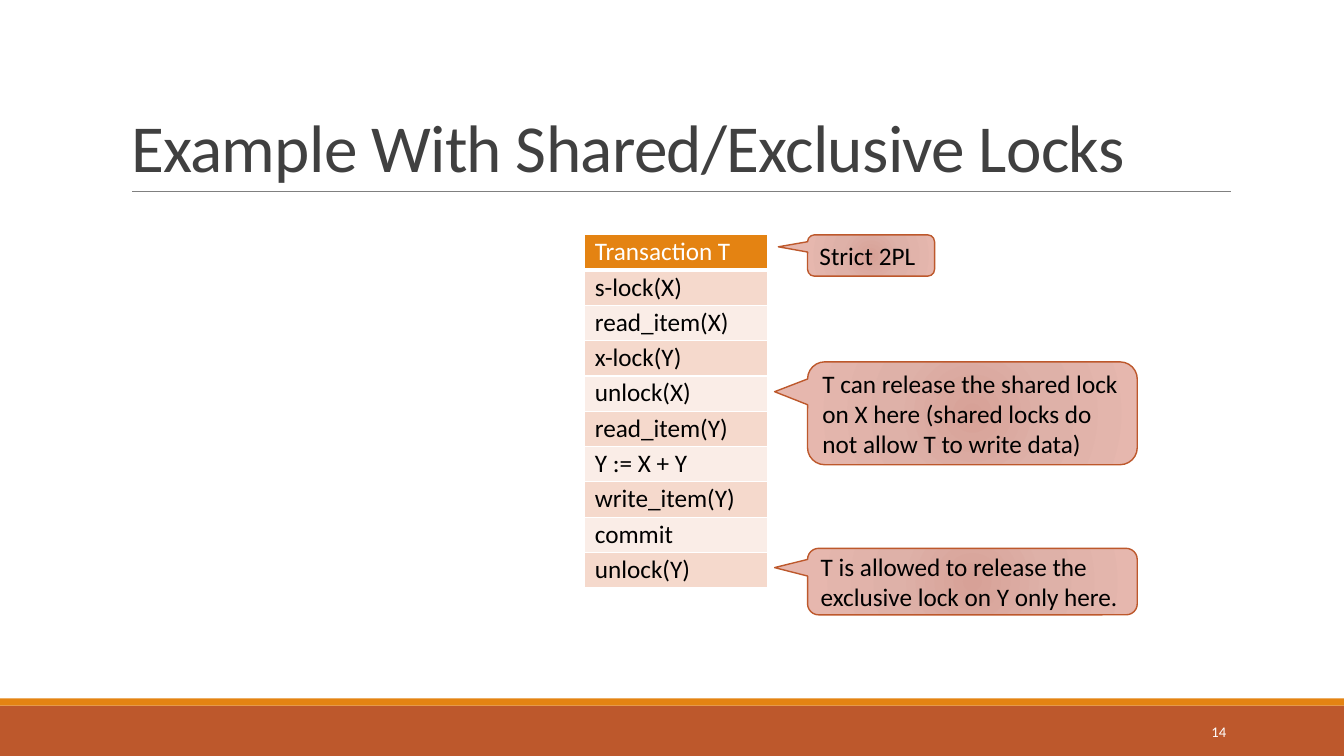
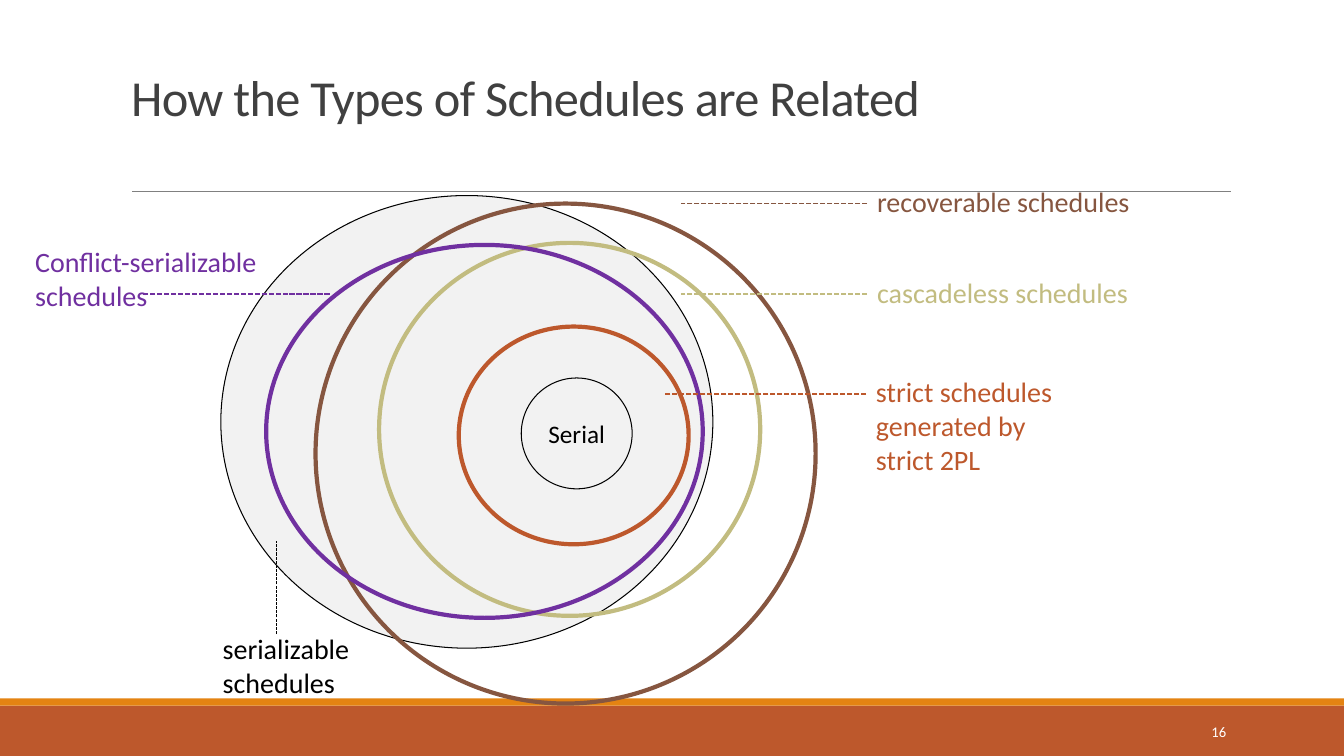
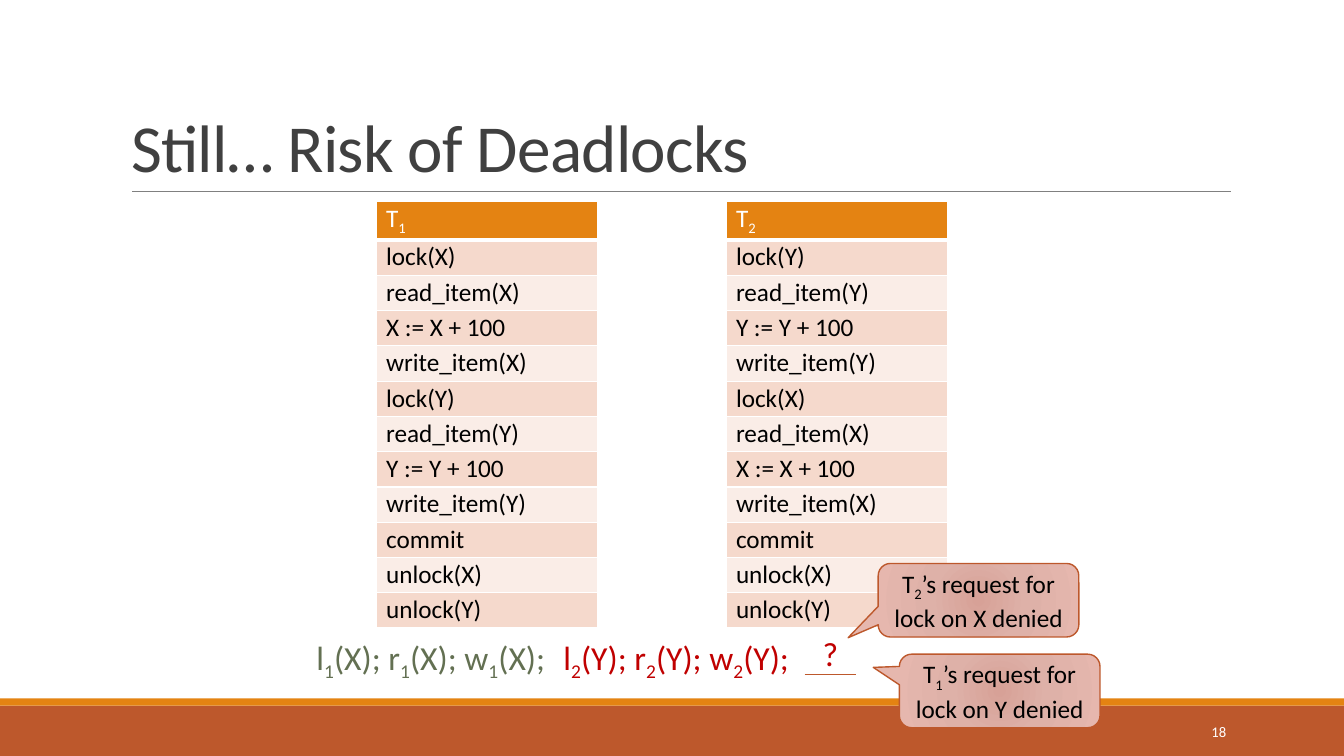
from pptx import Presentation
from pptx.dml.color import RGBColor
from pptx.enum import dml, shapes, text
from pptx.oxml import parse_xml
from pptx.oxml.ns import nsdecls, qn
from pptx.util import Inches, Pt

FONT = "Calibri"
RUST, ORANGE = "BD582C", "E48312"
WHITE, BLACK = "FFFFFF", "000000"
TITLE_GREY, RULE_GREY, DISC_GREY = "404040", "808080", "F2F2F2"
BAND_DARK, BAND_LIGHT = "F5D9CC", "FAEDE7"
BROWN, KHAKI, PURPLE = "865640", "C2BC80", "7030A0"
GREEN, RED = "637052", "C00000"
CALLOUT_STOPS = ((0, "D7A197"), (45, "DEB1A8"), (100, "E6B7AE"))
ROW_HEIGHT = 0.35
LEFT, CENTER, RIGHT = text.PP_ALIGN.LEFT, text.PP_ALIGN.CENTER, text.PP_ALIGN.RIGHT
MIDDLE = text.MSO_ANCHOR.MIDDLE


def rgb(value):
    return RGBColor.from_string(value)


def write(frame, content, size, color, align=LEFT):
    """Fill a text frame; a newline starts a paragraph, ~n~ sets n as a subscript."""
    for index, line in enumerate(content.split("\n")):
        paragraph = frame.add_paragraph() if index else frame.paragraphs[0]
        paragraph.alignment = align
        for part, piece in enumerate(line.split("~")):
            if not piece:
                continue
            run = paragraph.add_run()
            run.text = piece
            run.font.name, run.font.size = FONT, Pt(size)
            run.font.color.rgb = rgb(color)
            if part % 2:
                run.font._element.set("baseline", "-25000")


def add_label(slide, box, content, size, color, align=LEFT, wrap=False):
    label = slide.shapes.add_textbox(*map(Inches, box))
    label.text_frame.word_wrap = wrap
    write(label.text_frame, content, size, color, align)
    return label


def add_outline(slide, kind, box, fill=None, line=None, width=1):
    shape = slide.shapes.add_shape(kind, *map(Inches, box))
    shape.shadow.inherit = False
    if fill:
        shape.fill.solid()
        shape.fill.fore_color.rgb = rgb(fill)
    else:
        shape.fill.background()
    if line:
        shape.line.color.rgb = rgb(line)
        shape.line.width = Pt(width)
    else:
        shape.line.fill.background()
    return shape


def add_line(slide, start, end, color, width, dashed=False):
    line = slide.shapes.add_connector(
        shapes.MSO_CONNECTOR.STRAIGHT, *map(Inches, start + end))
    line.line.color.rgb = rgb(color)
    line.line.width = Pt(width)
    if dashed:
        line.line.dash_style = dml.MSO_LINE.SQUARE_DOT
    line.element.spPr.append(parse_xml(f"<a:effectLst {nsdecls('a')}/>"))
    return line


def add_callout(slide, box, tip, content, align=LEFT):
    """Add a rounded callout whose tip is given relative to its centre."""
    callout = add_outline(
        slide, shapes.MSO_SHAPE.ROUNDED_RECTANGULAR_CALLOUT, box, line=RUST)
    callout.adjustments[0], callout.adjustments[1] = tip
    stops = "".join(
        f'<a:gs pos="{position * 1000}"><a:srgbClr val="{color}"/></a:gs>'
        for position, color in CALLOUT_STOPS)
    gradient = parse_xml(
        f'<a:gradFill {nsdecls("a")}><a:gsLst>{stops}</a:gsLst><a:path path="circle">'
        '<a:fillToRect l="100000" t="100000" r="100000" b="100000"/>'
        '</a:path></a:gradFill>')
    properties = callout.element.spPr
    properties.replace(properties.find(qn("a:noFill")), gradient)
    callout.text_frame.word_wrap = True
    callout.text_frame.vertical_anchor = MIDDLE
    write(callout.text_frame, content, 18, BLACK, align)


def add_border(cell, side, width):
    cell._tc.get_or_add_tcPr().append(parse_xml(
        f'<a:ln{side} {nsdecls("a")} w="{Pt(width)}"><a:solidFill>'
        f'<a:srgbClr val="{WHITE}"/></a:solidFill></a:ln{side}>'))


def add_transaction(slide, left, top, width, name, operations):
    """Add a one-column table with the name of a transaction and its steps."""
    rows = [name] + operations
    table = slide.shapes.add_table(
        len(rows), 1, Inches(left), Inches(top), Inches(width),
        Inches(ROW_HEIGHT * len(rows))).table
    for index, content in enumerate(rows):
        header = index == 0
        table.rows[index].height = Inches(ROW_HEIGHT)
        cell = table.cell(index, 0)
        cell.margin_top = cell.margin_bottom = Inches(0.02)
        for side in ("L", "R", "T") if header else ("L", "R"):
            add_border(cell, side, 1)
        add_border(cell, "B", 3 if header else 1)
        cell.fill.solid()
        band = BAND_DARK if index % 2 else BAND_LIGHT
        cell.fill.fore_color.rgb = rgb(ORANGE if header else band)
        write(cell.text_frame, content, 18, WHITE if header else BLACK)


def decorate_layout(layout, slide):
    """Draw the bands and the title rule, and move them to the layout."""
    rectangle = shapes.MSO_SHAPE.RECTANGLE
    decorations = (
        add_outline(slide, rectangle, (0, 7, 13.33, 0.5), fill=RUST),
        add_outline(slide, rectangle, (0, 6.93, 13.33, 0.07), fill=ORANGE),
        add_line(slide, (1.31, 1.9), (12.21, 1.9), RULE_GREY, 0.5),
    )
    for position, decoration in enumerate(decorations, start=2):
        layout.shapes.element.insert(position, decoration.element)


def strip_footers(layout):
    for placeholder in list(layout.placeholders):
        if placeholder.placeholder_format.type != shapes.PP_PLACEHOLDER.TITLE:
            layout.shapes.element.remove(placeholder.element)


def add_slide(deck, layout, heading, number, size=48, bottom_inset=0.05):
    slide = deck.slides.add_slide(layout)
    title = slide.shapes.title
    title.left, title.top, title.width, title.height = map(Inches, (1.2, 0.31, 11, 1.59))
    frame = title.text_frame
    frame.auto_size = text.MSO_AUTO_SIZE.NONE
    frame.vertical_anchor = text.MSO_ANCHOR.BOTTOM
    frame.margin_bottom = Inches(bottom_inset)
    write(frame, heading, size, TITLE_GREY)
    paragraph = frame.paragraphs[0]
    paragraph.line_spacing = 0.85
    paragraph.runs[0].font._element.set("spc", "-50")
    page = add_label(slide, (10.83, 7.06, 1.43, 0.4), str(number), 10.5, WHITE, RIGHT, True)
    page.text_frame.vertical_anchor = MIDDLE
    return slide


def fill_locks(slide):
    add_transaction(slide, 5.8, 2.33, 1.81, "Transaction T", [
        "s-lock(X)", "read_item(X)", "x-lock(Y)", "unlock(X)", "read_item(Y)",
        "Y := X + Y", "write_item(Y)", "commit", "unlock(Y)"])
    for top, width, height, reach, remark in (
        (2.33, 1.26, 0.41, -0.73, "Strict 2PL"),
        (5.44, 3.27, 0.66, -0.6,
         "T is allowed to release the exclusive lock on Y only here."),
        (3.59, 3.27, 1.02, -0.6,
         "T can release the shared lock on X here "
         "(shared locks do not allow T to write data)"),
    ):
        add_callout(slide, (8.01, top, width, height), (reach, -0.21), remark)


def fill_schedule_types(slide):
    oval = shapes.MSO_SHAPE.OVAL
    add_outline(slide, oval, (2.19, 1.94, 4.88, 4.49), DISC_GREY, BLACK, 0.75)
    serial = add_outline(slide, oval, (5.17, 3.75, 1.1, 1.1), None, BLACK, 0.75)
    frame = serial.text_frame
    frame.margin_left = frame.margin_right = Inches(0.04)
    frame.vertical_anchor = MIDDLE
    write(frame, "Serial", 18, BLACK, CENTER)
    for box, color in (
        ((4.55, 3.24, 2.28, 2.16), RUST),
        ((3.76, 2.41, 3.78, 3.7), KHAKI),
        ((3.13, 2.02, 4.96, 4.96), BROWN),
        ((2.64, 2.43, 4.33, 3.7), PURPLE),
    ):
        add_outline(slide, oval, box, None, color, 3)
    for box, name, color, start, end, width in (
        ((2.11, 6.22, 1.5, 0.77), "serializable\nschedules", BLACK,
         (2.74, 6.29), (2.74, 5.37), 0.75),
        ((8.59, 3.67, 1.97, 1.11), "strict schedules\ngenerated by\nstrict 2PL", RUST,
         (8.59, 3.91), (6.6, 3.91), 1.25),
        ((8.6, 2.68, 2.75, 0.44), "cascadeless schedules", KHAKI,
         (8.6, 2.92), (6.75, 2.92), 1.25),
        ((8.6, 1.78, 2.79, 0.44), "recoverable schedules", BROWN,
         (8.6, 2.02), (6.75, 2.02), 1.25),
        ((0.25, 2.38, 2.49, 0.77), "Conflict-serializable\nschedules", PURPLE,
         (3.27, 2.92), (1.41, 2.92), 1.25),
    ):
        add_label(slide, box, name, 20, color)
        add_line(slide, start, end, color, width, dashed=True)


def update_steps(*items):
    """List the steps that lock and raise each item, then commit and unlock."""
    steps = []
    for item in items:
        steps += [f"lock({item})", f"read_item({item})",
                  f"{item} := {item} + 100", f"write_item({item})"]
    return steps + ["commit", "unlock(X)", "unlock(Y)"]


def fill_deadlocks(slide):
    add_transaction(slide, 3.73, 2, 2.2, "T~1~", update_steps("X", "Y"))
    add_transaction(slide, 7.2, 2, 2.2, "T~2~", update_steps("Y", "X"))
    for left, number, item, color in ((3.04, 1, "X", GREEN), (5.49, 2, "Y", RED)):
        history = " ".join(f"{action}~{number}~({item});" for action in "lrw")
        add_label(slide, (left, 6.27, 2.52, 0.5), history, 24, color, wrap=True)
    add_line(slide, (7.98, 6.69), (8.49, 6.69), RUST, 1)
    add_label(slide, (8.06, 6.23, 0.36, 0.5), "?", 24, RED)
    for left, top, tip, number, item in (
        (8.71, 5.59, (-0.65, 0.51), 2, "X"),
        (8.92, 6.49, (-0.63, -0.32), 1, "Y"),
    ):
        add_callout(slide, (left, top, 1.99, 0.73), tip,
                    f"T~{number}~’s request for lock on {item} denied", CENTER)


def main():
    deck = Presentation()
    deck.slide_width, deck.slide_height = Inches(13.33), Inches(7.5)
    layout = deck.slide_layouts.get_by_name("Title Only")
    strip_footers(layout)
    locks = add_slide(deck, layout, "Example With Shared/Exclusive Locks", 14)
    decorate_layout(layout, locks)
    fill_locks(locks)
    fill_schedule_types(add_slide(
        deck, layout, "How the Types of Schedules are Related", 16, 36, 0.64))
    fill_deadlocks(add_slide(deck, layout, "Still… Risk of Deadlocks", 18))
    deck.save("out.pptx")


if __name__ == "__main__":
    main()
